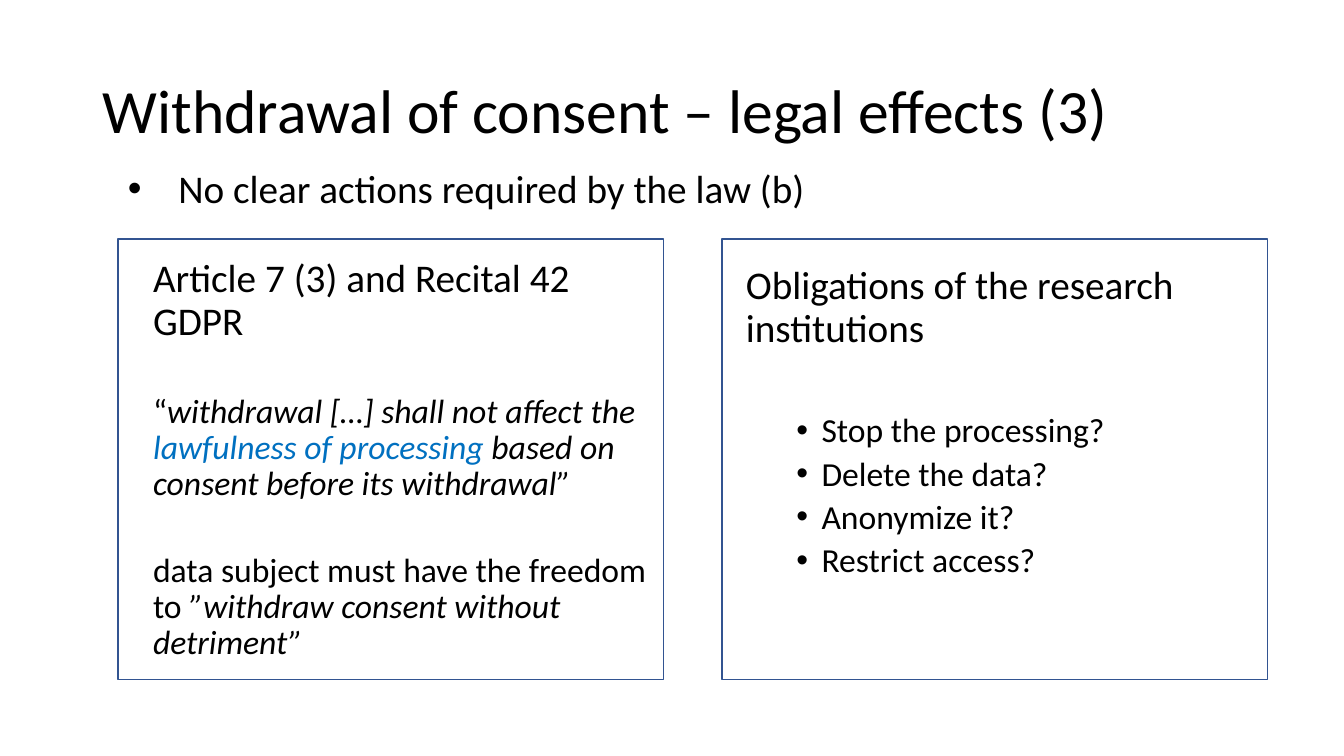
from lxml import etree
from pptx import Presentation
from pptx.dml.color import RGBColor
from pptx.enum.shapes import MSO_SHAPE
from pptx.enum.text import MSO_ANCHOR
from pptx.oxml.ns import qn
from pptx.util import Inches, Pt

RECTANGLE = MSO_SHAPE.RECTANGLE
TOP, MIDDLE = MSO_ANCHOR.TOP, MSO_ANCHOR.MIDDLE
BLACK = RGBColor(0x00, 0x00, 0x00)
BLUE = RGBColor(0x00, 0x70, 0xC0)
FRAME_BLUE = RGBColor(0x32, 0x54, 0x91)

HEADING_SIZE, BODY_SIZE = 28, 24
FRAME_LEFTS = (1.17, 7.16)
QUOTE_ITALIC = {"italic": True}
QUOTE_BLUE = {"italic": True, "color": BLUE}


class SlideBuilder:
    font_name = "Calibri"

    def __init__(self, slide):
        self.slide = slide

    def text_box(self, left, top, width, height, anchor=TOP):
        shape = self.slide.shapes.add_textbox(
            Inches(left), Inches(top), Inches(width), Inches(height))
        frame = shape.text_frame
        frame.word_wrap = True
        frame.vertical_anchor = anchor
        return frame

    def paragraph(self, frame, runs, size, before=0, line_spacing=0.9,
                  margin=0, indent=0, bullet=False):
        """Add a paragraph made of (text, style) runs; lengths in inches, spacing in points."""
        is_first = not frame.paragraphs[0].runs
        paragraph = frame.paragraphs[0] if is_first else frame.add_paragraph()
        paragraph.font.name = self.font_name
        paragraph.font.size = Pt(size)
        paragraph.font.color.rgb = BLACK
        paragraph.space_before = Pt(before)
        paragraph.line_spacing = line_spacing
        for text, style in runs:
            run = paragraph.add_run()
            run.text = text
            if style.get("italic"):
                run.font.italic = True
            if "color" in style:
                run.font.color.rgb = style["color"]
        self.indent(paragraph, margin, indent, bullet)

    def indent(self, paragraph, margin, indent, bullet):
        properties = paragraph._p.get_or_add_pPr()
        properties.set("marL", str(Inches(margin)))
        properties.set("indent", str(Inches(indent)))
        if bullet:
            font = etree.Element(qn("a:buFont"), typeface="Arial")
            character = etree.Element(qn("a:buChar"), char="•")
            position = len(properties.findall(qn("a:lnSpc"))
                           + properties.findall(qn("a:spcBef")))
            properties.insert(position, font)
            properties.insert(position + 1, character)

    def frame(self, left, top, width, height):
        shape = self.slide.shapes.add_shape(
            RECTANGLE, Inches(left), Inches(top), Inches(width), Inches(height))
        shape.shadow.inherit = False
        shape.fill.background()
        shape.line.color.rgb = FRAME_BLUE
        shape.line.width = Pt(1)


def main():
    presentation = Presentation()
    presentation.slide_width = Inches(13.33)
    presentation.slide_height = Inches(7.5)
    builder = SlideBuilder(presentation.slides.add_slide(presentation.slide_layouts[6]))

    title = builder.text_box(0.92, 0.4, 11.5, 1.45, MIDDLE)
    builder.paragraph(title, [("Withdrawal of consent – legal effects (3)", {})], 44)

    law = builder.text_box(0.92, 2.52, 5.67, 4.22)
    law_paragraphs = [
        (HEADING_SIZE, 0, [("Article 7 (3) and Recital 42 GDPR", {})]),
        (BODY_SIZE, 36, [
            ("“", {}),
            ("withdrawal […] shall not affect the ", QUOTE_ITALIC),
            ("lawfulness of processing ", QUOTE_BLUE),
            ("based on consent before its withdrawal”", QUOTE_ITALIC)]),
        (BODY_SIZE, 36, [
            ("data subject must have the freedom to", {}),
            (" ”withdraw consent without detriment”", QUOTE_ITALIC)]),
    ]
    for size, before, runs in law_paragraphs:
        builder.paragraph(law, runs, size, before, margin=0.5)

    obligations = builder.text_box(7.3, 2.59, 5.67, 4.15)
    builder.paragraph(obligations, [("Obligations of the research institutions", {})],
                      HEADING_SIZE)
    questions = ("Stop the processing?", "Delete the data?", "Anonymize it?",
                 "Restrict access?")
    for index, question in enumerate(questions):
        builder.paragraph(obligations, [(question, {})], BODY_SIZE,
                          before=5 if index else 45,
                          margin=0.75, indent=-0.25, bullet=True)

    for left in FRAME_LEFTS:
        builder.frame(left, 2.37, 5.41, 4.37)

    lead = builder.text_box(1.17, 1.58, 9.96, 0.57)
    builder.paragraph(lead, [("No clear actions required by the law (b)", {})],
                      HEADING_SIZE, line_spacing=1.0,
                      margin=0.5, indent=-0.5, bullet=True)

    presentation.save("out.pptx")


if __name__ == "__main__":
    main()
